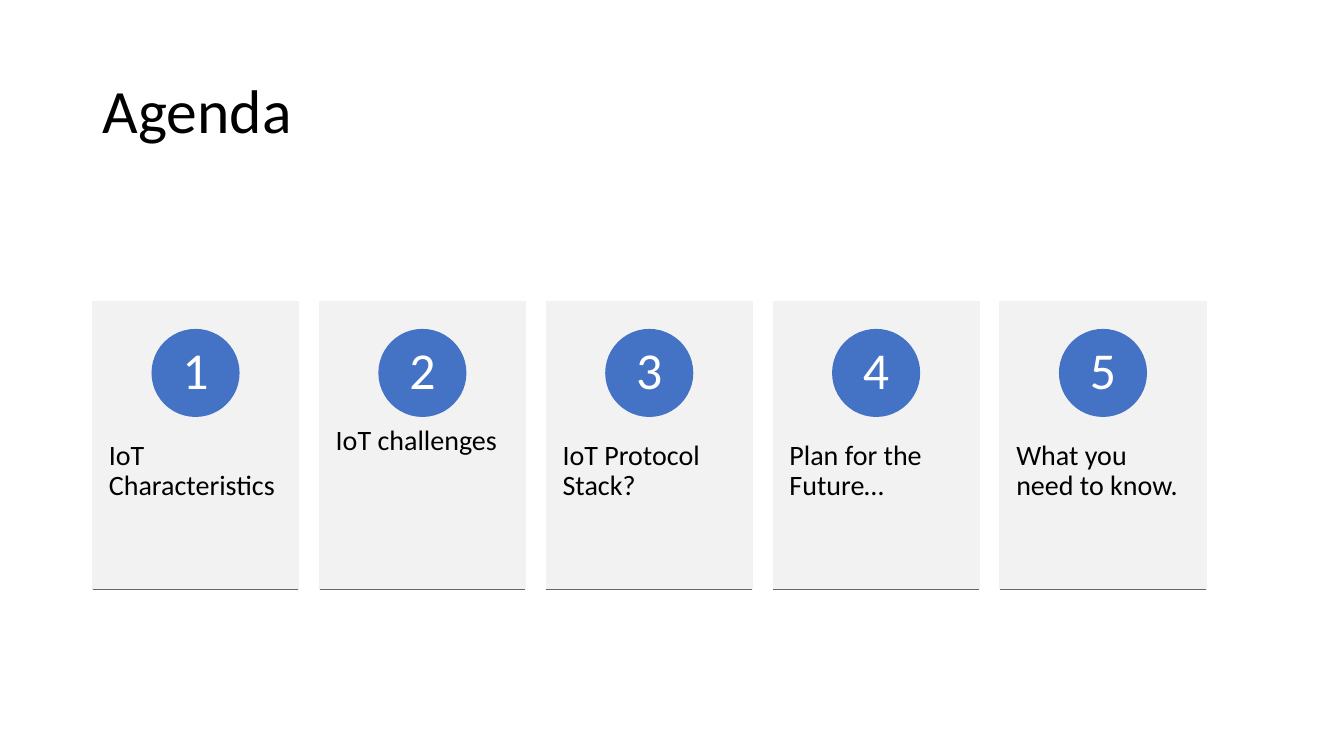
from dataclasses import dataclass

from lxml.etree import SubElement
from pptx import Presentation
from pptx.dml.color import RGBColor
from pptx.enum.shapes import MSO_CONNECTOR, MSO_SHAPE
from pptx.enum.text import MSO_ANCHOR, PP_ALIGN
from pptx.oxml.ns import qn
from pptx.util import Emu, Pt


@dataclass(frozen=True)
class Theme:
    font: str = "Calibri"
    ink: str = "000000"
    card: str = "F2F2F2"
    accent: str = "4472C4"
    rule: str = "666666"
    light: str = "FFFFFF"
    title_size: int = 44
    number_size: int = 37
    label_size: int = 20


theme = Theme()


def px(n):
    return Emu(n * 9144)  # 100 px to the inch


def write(sp, text, size, color=theme.ink, align=PP_ALIGN.LEFT,
          anchor=MSO_ANCHOR.TOP, inset=(10, 5), wrap=True):
    tf = sp.text_frame
    tf.word_wrap = wrap
    tf.vertical_anchor = anchor
    tf.margin_left = tf.margin_right = px(inset[0])
    tf.margin_top = tf.margin_bottom = px(inset[1])
    p = tf.paragraphs[0]
    p.alignment = align
    p.line_spacing = 0.9
    r = p.add_run()
    r.text = text
    r.font.name = theme.font
    r.font.size = Pt(size)
    r.font.color.rgb = RGBColor.from_string(color)


prs = Presentation()
prs.slide_width, prs.slide_height = px(1333), px(750)
slide = prs.slides.add_slide(prs.slide_layouts[6])
shapes = slide.shapes

# Title
sp = shapes.add_textbox(px(92), px(40), px(1150), px(145))
write(sp, "Agenda", theme.title_size, anchor=MSO_ANCHOR.MIDDLE)

# Card grid
topics = ["IoT Characteristics", "IoT challenges", "IoT Protocol Stack?",
          "Plan for the Future…", "What you need to know."]
left, top, width, height, gap = 92, 299, 204, 286, 21
circle = 86

for i, topic in enumerate(topics):
    x = left + i * (width + gap)

    # Card and number circle
    parts = [
        (MSO_SHAPE.RECTANGLE, x, top, width, height, theme.card),
        (MSO_SHAPE.OVAL, x + (width - circle) // 2, top + 28, circle, circle, theme.accent),
    ]
    for kind, l, t, w, h, color in parts:
        sp = shapes.add_shape(kind, px(l), px(t), px(w), px(h))
        sp.shadow.inherit = False
        sp.fill.solid()
        sp.fill.fore_color.rgb = RGBColor.from_string(color)
        sp.line.color.rgb = RGBColor.from_string(color)
        sp.line.width = Pt(1)
    write(sp, str(i + 1), theme.number_size, color=theme.light, align=PP_ALIGN.CENTER,
          anchor=MSO_ANCHOR.MIDDLE, inset=(0, 0), wrap=False)

    # Topic
    sp = shapes.add_textbox(px(x), px(top + 109), px(width), px(172))
    write(sp, topic, theme.label_size, inset=(16, 36))

    # Bottom rule
    y = top + height
    rule = shapes.add_connector(MSO_CONNECTOR.STRAIGHT, px(x), px(y), px(x + width), px(y))
    rule.line.color.rgb = RGBColor.from_string(theme.rule)
    rule.line.width = Pt(0.75)
    SubElement(rule._element.spPr, qn("a:effectLst"))

prs.save("out.pptx")
